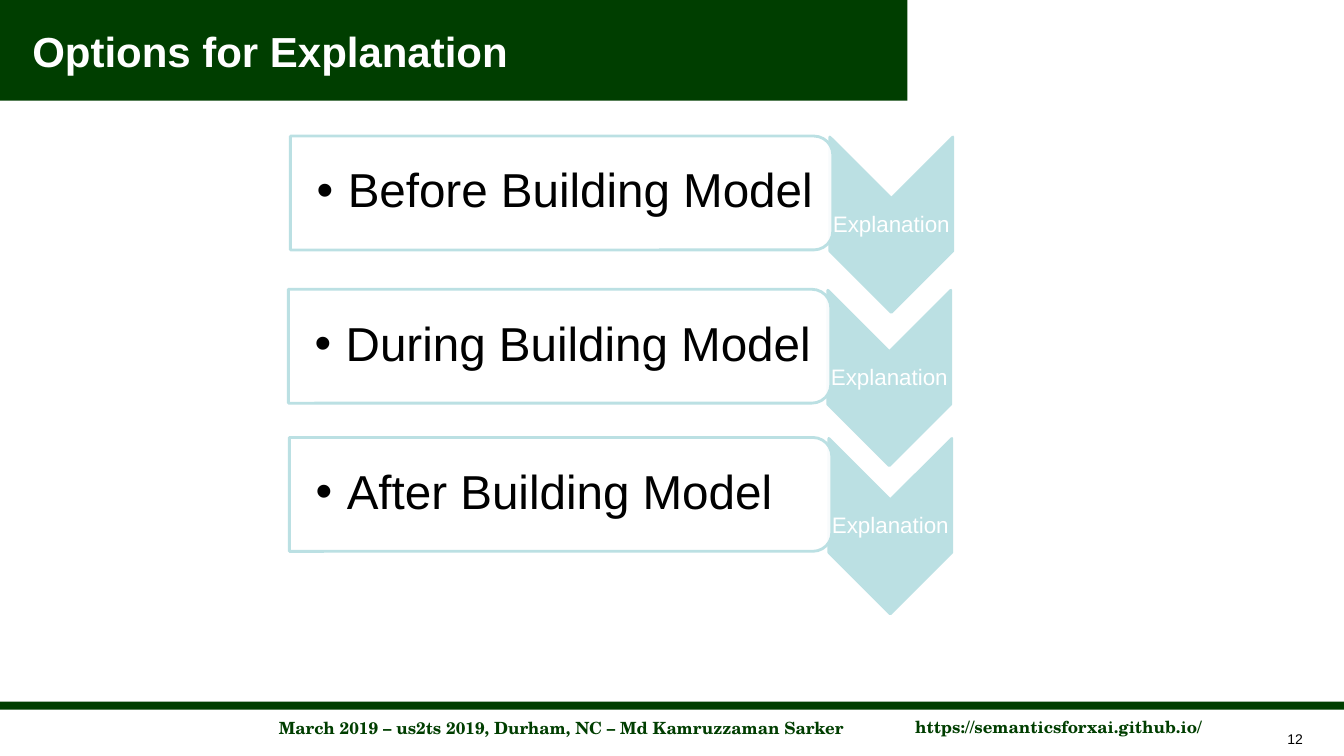
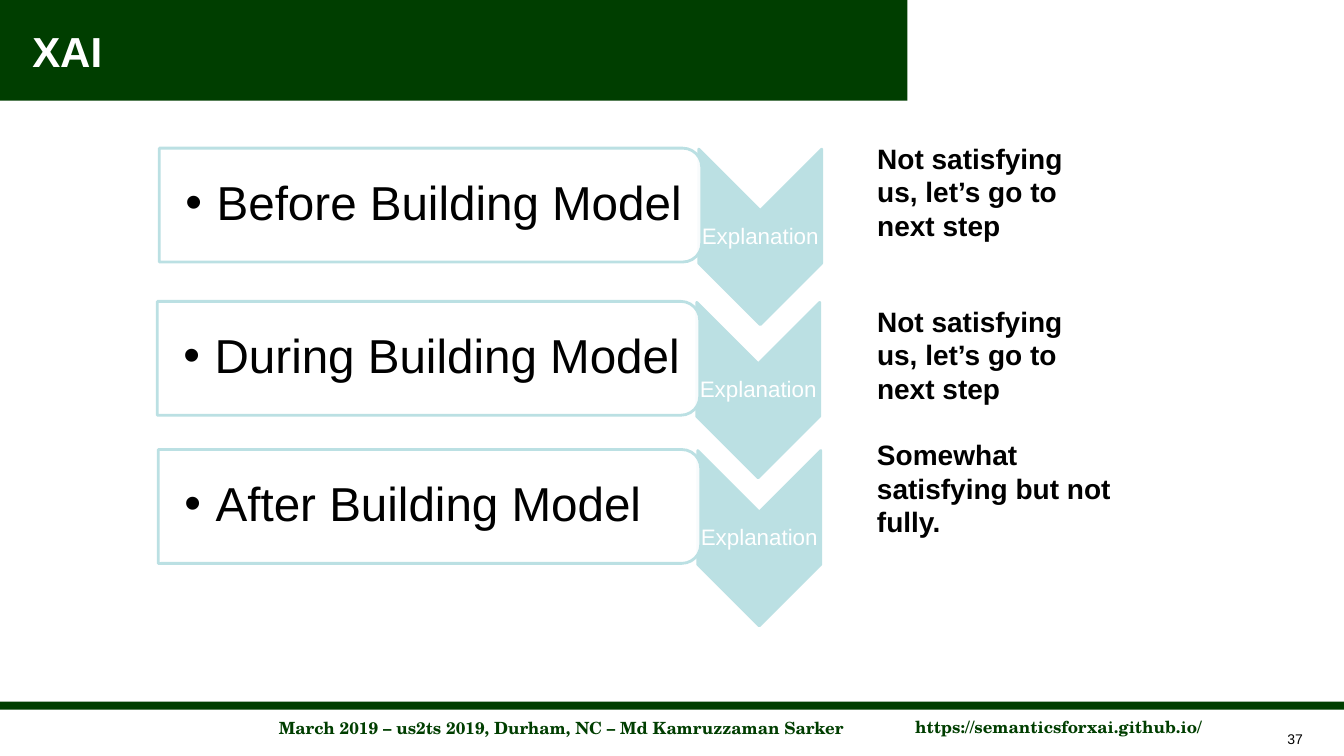
from lxml.etree import SubElement
from pptx import Presentation
from pptx.dml.color import RGBColor
from pptx.enum.shapes import MSO_SHAPE
from pptx.enum.text import MSO_ANCHOR, MSO_AUTO_SIZE, PP_ALIGN
from pptx.oxml.ns import qn
from pptx.util import Pt

GREEN = RGBColor(0x00, 0x3E, 0x00)
AQUA = RGBColor(0xBB, 0xE0, 0xE3)
WHITE = RGBColor(0xFF, 0xFF, 0xFF)
BLACK = RGBColor(0x00, 0x00, 0x00)
SANS, SERIF = "Arial", "TeX Gyre Schola"
SCALE = 9144  # EMU per px, 100 px to the inch
WIDE, HIGH = 1333, 750

EVENT = "March 2019 – us2ts 2019, Durham, NC – Md Kamruzzaman Sarker"
SITE = "https://semanticsforxai.github.io/"
RETRY = "Not satisfying us, let’s go to next step"
NOTES = [(135, 222, RETRY), (297, 222, RETRY),
         (429, 263, "Somewhat satisfying but not fully.")]
# label, then offset of the row from the corner of the diagram
STAGES = [("Before Building Model", 2, 0),
          ("During Building Model", 0, 152),
          ("After Building Model", 1, 299)]


def px(*sizes):
    return [round(size * SCALE) for size in sizes]


def place(shape, box):
    shape.left, shape.top, shape.width, shape.height = px(*box)


def write(shape, text, size, color, font=SANS, bold=False,
          align=PP_ALIGN.LEFT, anchor=MSO_ANCHOR.TOP, inset=None):
    """Set one paragraph of text; inset is (left, other sides) in px."""
    frame = shape.text_frame
    frame.text = text
    frame.word_wrap = True
    frame.auto_size = MSO_AUTO_SIZE.NONE
    frame.vertical_anchor = anchor
    if inset:
        frame.margin_left, frame.margin_right = px(*inset)
        frame.margin_top = frame.margin_bottom = frame.margin_right
    line = frame.paragraphs[0]
    line.alignment = align
    line.space_before = Pt(0)
    face = line.runs[0].font
    face.name, face.size, face.bold = font, Pt(size), bold
    face.color.rgb = color
    return line


def label(slide, box, text, size, color, **style):
    return write(slide.shapes.add_textbox(*px(*box)), text, size, color, **style)


def block(slide, kind, box, fill, edge=None):
    shape = slide.shapes.add_shape(kind, *px(*box))
    shape.shadow.inherit = False
    shape.fill.solid()
    shape.fill.fore_color.rgb = fill
    if edge is None:
        shape.line.fill.background()
    else:
        shape.line.color.rgb = edge
        shape.line.width = Pt(2)
    return shape


def turned(slide, kind, box, fill):
    """Add a shape that fills the box after a quarter turn."""
    x, y, w, h = box
    frame = (x + (w - h) / 2, y + (h - w) / 2, h, w)
    shape = block(slide, kind, frame, fill, AQUA)
    shape.rotation = 90
    return shape


def bullet(line, indent, mark=None):
    props = line._p.get_or_add_pPr()
    props.set("marL", str(indent * SCALE))
    props.set("indent", str(-indent * SCALE))
    if mark:
        SubElement(props, qn("a:buFont")).set("typeface", SANS)
        SubElement(props, qn("a:buChar")).set("char", mark)
    else:
        SubElement(props, qn("a:buNone"))


def start(deck, layout, title, page):
    """Add a slide with the title band, the footer and the page number."""
    slide = deck.slides.add_slide(deck.slide_layouts[layout])
    head = slide.shapes.title
    band = block(slide, MSO_SHAPE.RECTANGLE, (0, 0, 900, 100), GREEN)
    head.element.addprevious(band.element)
    place(head, (22, 0, 878, 100))
    write(head, title, 30, WHITE, bold=True, anchor=MSO_ANCHOR.MIDDLE)
    for box, text in (((146, 707, 822, 30), EVENT), ((867, 706, 366, 30), SITE)):
        foot = block(slide, MSO_SHAPE.RECTANGLE, box, WHITE)
        write(foot, text, 12, GREEN, SERIF, True, PP_ALIGN.CENTER)
    block(slide, MSO_SHAPE.RECTANGLE, (0, 696, WIDE, 8), GREEN)
    label(slide, (1267, 720, 78, 25), page, 10, BLACK)
    return slide


def stage(slide, x, y, text):
    """Draw one bar with the chevron at its right end."""
    tip = x + 535
    turned(slide, MSO_SHAPE.CHEVRON, (tip, y + 1, 122, 174), AQUA)
    line = label(slide, (tip, y + 62, 122, 52), "Explanation", 16, WHITE,
                 align=PP_ALIGN.CENTER, anchor=MSO_ANCHOR.MIDDLE, inset=(1, 1))
    line.line_spacing = 0.9
    bar = turned(slide, MSO_SHAPE.ROUND_2_SAME_RECTANGLE, (x, y, 538, 113), WHITE)
    tint = bar.element.spPr.find(qn("a:solidFill"))[0]
    SubElement(tint, qn("a:alpha")).set("val", "90000")
    line = label(slide, (x, y + 5, 533, 102), text, 34, BLACK,
                 anchor=MSO_ANCHOR.MIDDLE, inset=(26, 2))
    bullet(line, 31, "•")
    line.line_spacing = 0.9


def stages(slide, x, y):
    for text, across, down in STAGES:
        stage(slide, x + across, y + down, text)


def notes(slide, x):
    """Fill the body placeholder first, then text boxes below it."""
    body = slide.placeholders[1]
    for spot, (y, width, text) in enumerate(NOTES):
        shape = slide.shapes.add_textbox(0, 0, 0, 0) if spot else body
        place(shape, (x, y, width, 109))
        bullet(write(shape, text, 20, BLACK, bold=True), 0)


def main():
    deck = Presentation()
    deck.slide_width, deck.slide_height = px(WIDE, HIGH)
    stages(start(deck, 5, "Options for Explanation", "12"), 286, 135)
    slide = start(deck, 1, "XAI", "37")
    stages(slide, 156, 147)
    notes(slide, 860)
    deck.save("out.pptx")


if __name__ == "__main__":
    main()
